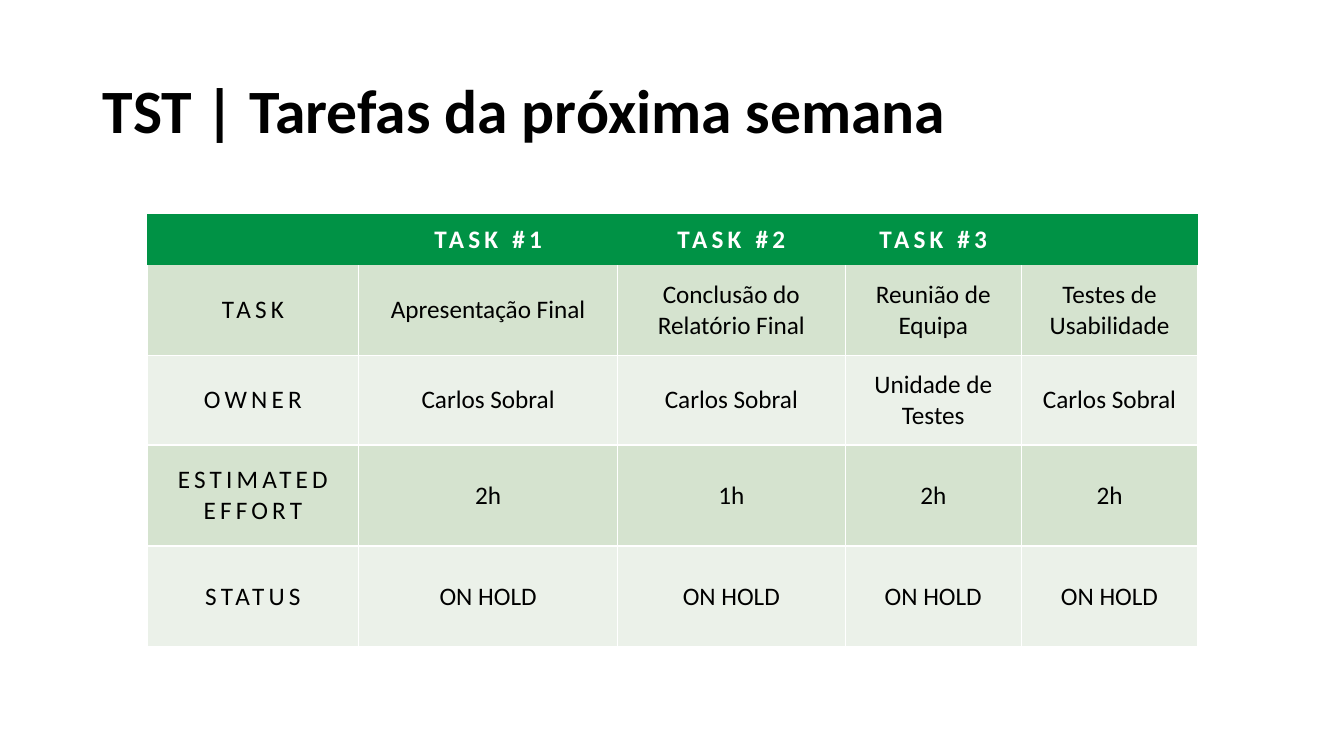
from dataclasses import dataclass
from lxml.etree import SubElement
from pptx import Presentation
from pptx.dml.color import RGBColor
from pptx.enum.text import MSO_ANCHOR, PP_ALIGN
from pptx.oxml.ns import qn
from pptx.util import Inches, Pt


@dataclass(frozen=True)
class Theme:
    font: str = "Calibri"
    ink: str = "000000"
    white: str = "FFFFFF"
    green: str = "009245"
    bands: tuple = ("D5E3CF", "EBF1E9")
    title: int = 44
    body: int = 18
    track: int = 300
    rule: int = 1


THEME = Theme()

ROWS = [
    ["", "TASK #1", "TASK #2", "TASK #3", ""],
    ["TASK", "Apresentação Final", "Conclusão do Relatório Final",
     "Reunião de Equipa", "Testes de Usabilidade"],
    ["OWNER", "Carlos Sobral", "Carlos Sobral", "Unidade de Testes", "Carlos Sobral"],
    ["ESTIMATED\nEFFORT", "2h", "1h", "2h", "2h"],
    ["STATUS"] + ["ON HOLD"] * 4,
]
WIDTHS = [2.1, 2.57, 2.26, 1.75, 1.75]
HEIGHTS = [0.51, 0.89, 0.89, 1, 1]


def style(run, size, color, bold):
    font = run.font
    font.name = THEME.font
    font.size = Pt(size)
    font.bold = bold
    font.color.rgb = RGBColor.from_string(color)


def border(cell, sides):
    props = cell._tc.get_or_add_tcPr()
    for side in "LRTB":
        line = SubElement(props, qn(f"a:ln{side}"), w=str(Pt(THEME.rule)))
        if side in sides:
            fill = SubElement(line, qn("a:solidFill"))
            SubElement(fill, qn("a:srgbClr"), val=THEME.white)
        else:
            SubElement(line, qn("a:noFill"))


def fill_cell(cell, text, row, col):
    head = row == 0
    border(cell, "" if head else "LRB" if row == 1 else "LRTB")
    color = THEME.green if head else THEME.bands[(row - 1) % 2]
    cell.fill.solid()
    cell.fill.fore_color.rgb = RGBColor.from_string(color)
    cell.vertical_anchor = MSO_ANCHOR.MIDDLE
    cell.text_frame.text = text
    for para in cell.text_frame.paragraphs:
        para.alignment = PP_ALIGN.CENTER
        for run in para.runs:
            style(run, THEME.body, THEME.white if head else THEME.ink, head)
            if head or col == 0:
                run._r.get_or_add_rPr().set("spc", str(THEME.track))


def add_title(slide, left, top, width, height):
    title = slide.shapes.title
    title.left, title.top = Inches(left), Inches(top)
    title.width, title.height = Inches(width), Inches(height)
    frame = title.text_frame
    frame.text = "TST | Tarefas da próxima semana"
    frame.vertical_anchor = MSO_ANCHOR.MIDDLE
    para = frame.paragraphs[0]
    para.alignment = PP_ALIGN.LEFT
    para.line_spacing = 0.9
    style(para.runs[0], THEME.title, THEME.ink, True)


def add_tasks(slide, left, top, width, height):
    table = slide.shapes.add_table(
        len(ROWS), len(WIDTHS), Inches(left), Inches(top),
        Inches(width), Inches(height)).table
    for column, part in zip(table.columns, WIDTHS):
        column.width = Inches(width * part / sum(WIDTHS))
    for line, part in zip(table.rows, HEIGHTS):
        line.height = Inches(height * part / sum(HEIGHTS))
    for row, texts in enumerate(ROWS):
        for col, text in enumerate(texts):
            fill_cell(table.cell(row, col), text, row, col)


def main():
    deck = Presentation()
    deck.slide_width, deck.slide_height = Inches(13.33), Inches(7.5)
    slide = deck.slides.add_slide(deck.slide_layouts[5])
    add_title(slide, 0.92, 0.4, 11.5, 1.45)
    add_tasks(slide, 1.46, 2.12, 10.42, 4.3)
    deck.save("out.pptx")


if __name__ == "__main__":
    main()
